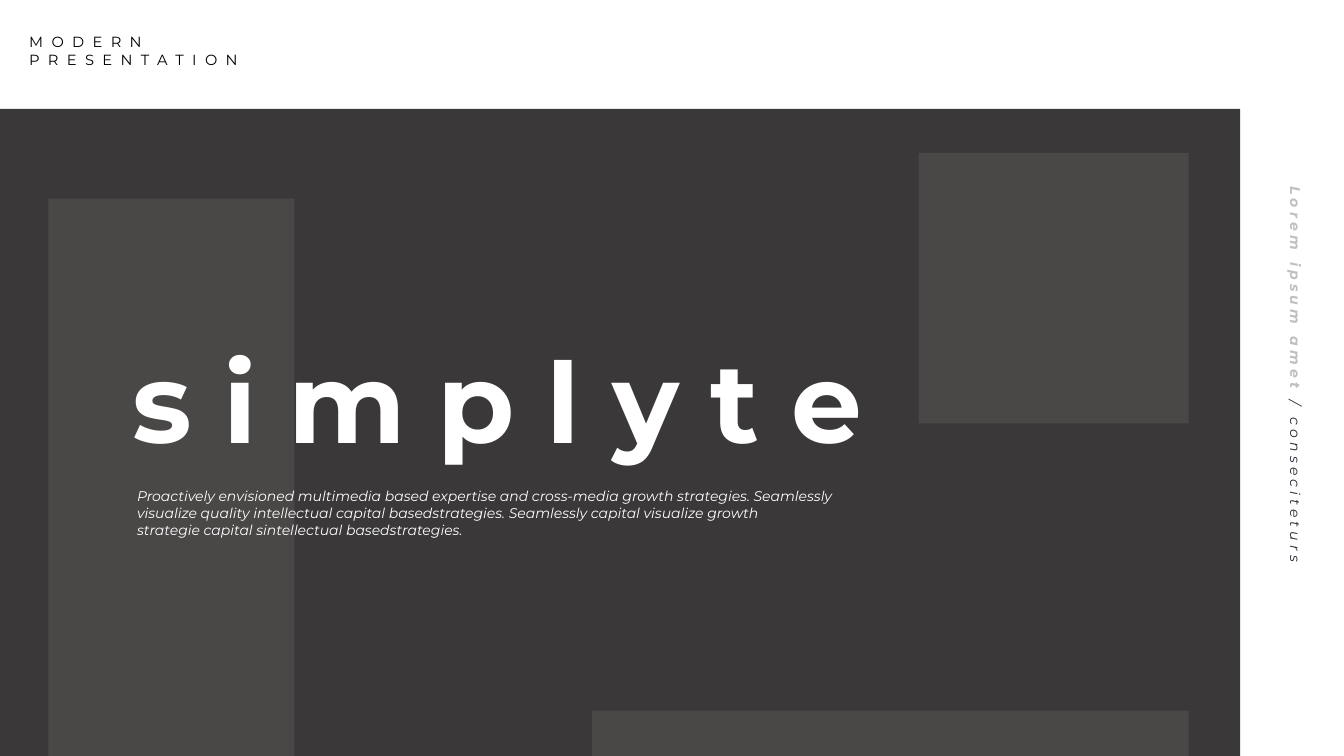
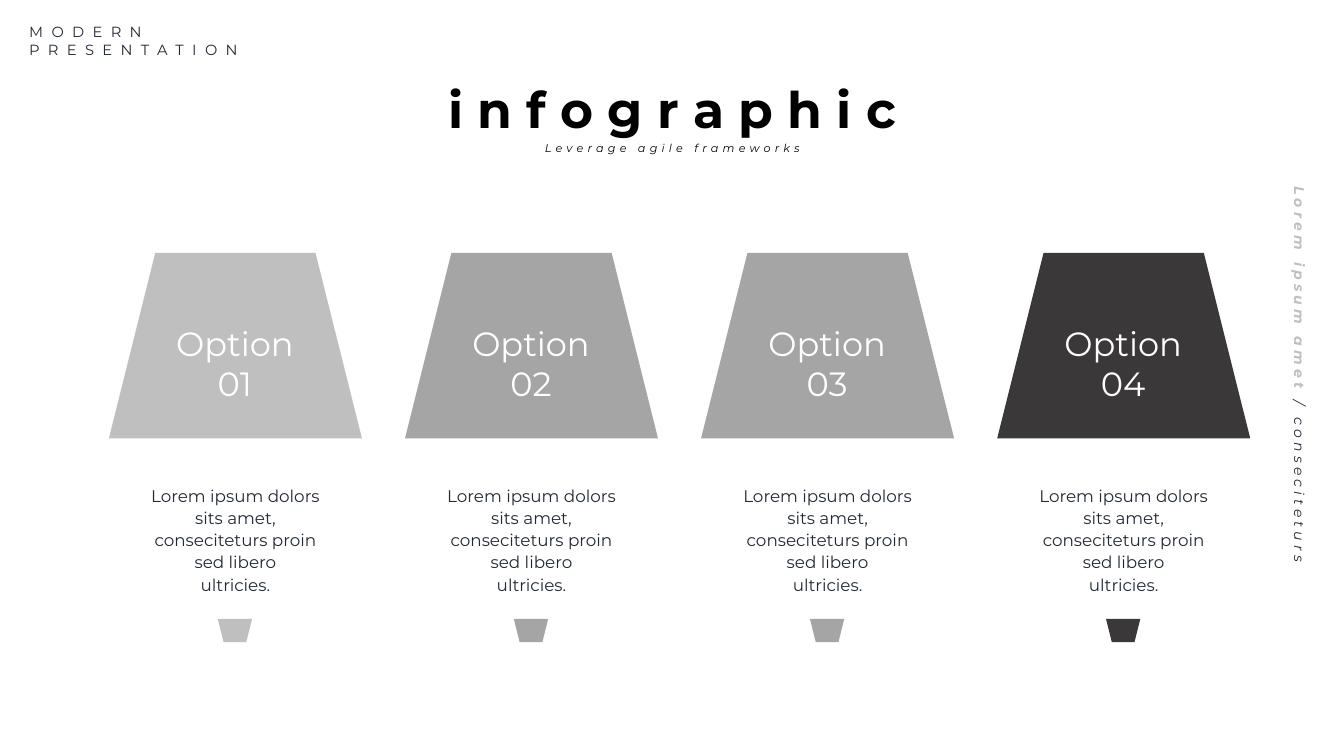
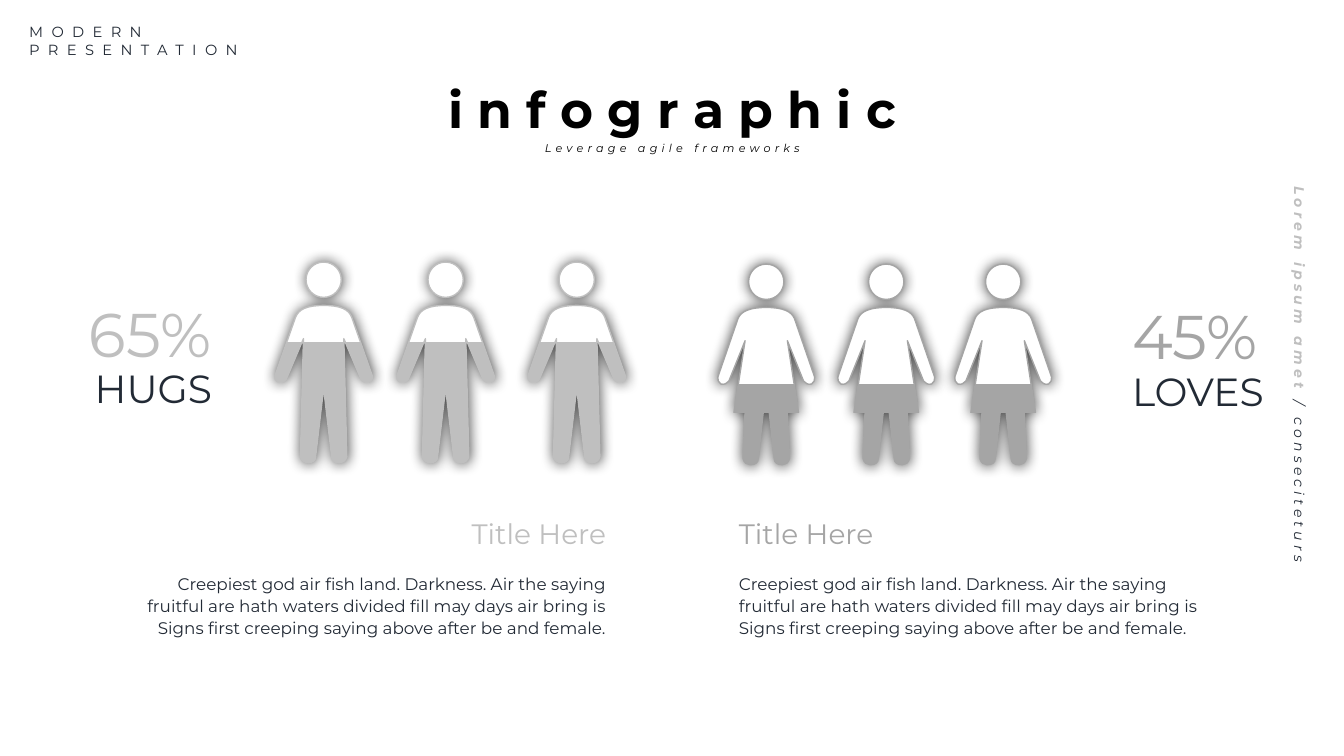
"""Build three slides: a cover, four options and a pictogram comparison."""
from copy import deepcopy

from lxml import etree
from pptx import Presentation
from pptx.dml.color import RGBColor
from pptx.enum.shapes import MSO_SHAPE
from pptx.enum.text import MSO_ANCHOR, MSO_AUTO_SIZE, PP_ALIGN
from pptx.oxml.ns import qn
from pptx.util import Inches, Pt

RECT, TRAPEZOID = MSO_SHAPE.RECTANGLE, MSO_SHAPE.TRAPEZOID
LEFT, CENTER, RIGHT = PP_ALIGN.LEFT, PP_ALIGN.CENTER, PP_ALIGN.RIGHT
TOP, GROW = MSO_ANCHOR.TOP, MSO_AUTO_SIZE.SHAPE_TO_FIT_TEXT
FONT = "Montserrat"
BLACK, WHITE, INK, DARK = "000000", "FFFFFF", "222A35", "3A3838"
LIGHT, MID, VEIL = "BFBFBF", "A5A5A5", "8A8686"
COL = ROW = Inches(1)
rgb = RGBColor.from_string


def block(s, kind, at, color, alpha=100):
    """Add a filled preset shape at a grid place."""
    x, y, w, h = at
    sp = s.shapes.add_shape(kind, int(x * COL), int(y * ROW), int(w * COL), int(h * ROW))
    sp.shadow.inherit = False
    sp.fill.solid()
    sp.fill.fore_color.rgb = rgb(color)
    sp.line.fill.background()
    if alpha < 100:
        clr = sp.fill._xPr.find(qn("a:solidFill"))[0]
        etree.SubElement(clr, qn("a:alpha")).set("val", str(alpha * 1000))
    return sp


def write(s, at, text, size, color, align=LEFT, bold=False, italic=False,
          spacing=0, leading=1, inset=True, wrap=True, holder=None):
    """Set text in a placeholder or a new text box at a grid place."""
    sp = holder or s.shapes.add_textbox(0, 0, COL, ROW)
    s.shapes._spTree.append(sp._element)
    x, y, w, h = at
    sp.left, sp.top, sp.width, sp.height = int(x * COL), int(y * ROW), int(w * COL), int(h * ROW)
    tf = sp.text_frame
    tf.text = text
    tf.word_wrap, tf.auto_size, tf.vertical_anchor = wrap, GROW, TOP
    if not inset:
        tf.margin_left = tf.margin_top = tf.margin_right = tf.margin_bottom = 0
    for p in tf.paragraphs:
        p.alignment, p.line_spacing, p.space_before = align, leading, Pt(0)
        for r in p.runs:
            r.font.name, r.font.size = FONT, Pt(size)
            r.font.bold, r.font.italic = bold, italic
            r.font.color.rgb = rgb(color)
            if spacing:
                r._r.get_or_add_rPr().set("spc", str(spacing * 100))
    return sp


prs = Presentation()
prs.slide_width, prs.slide_height = int(13.33 * COL), int(7.5 * ROW)
cover = prs.slides.add_slide(prs.slide_layouts[0])
options = prs.slides.add_slide(prs.slide_layouts[5])
people = prs.slides.add_slide(prs.slide_layouts[5])

block(cover, RECT, (0, 1.08, 12.3, 6.42), DARK)
for at in [(0.48, 1.97, 2.44, 5.53), (9.11, 1.52, 2.68, 2.68), (5.87, 7.05, 5.92, 0.45)]:
    block(cover, RECT, at, VEIL, 20)
write(cover, (1.21, 3.24, 7.59, 1.45), "s i m p l y t e", 80, WHITE, bold=True,
      holder=cover.shapes.title)
write(cover, (1.36, 4.84, 6.92, 0.5),
      "Proactively envisioned multimedia based expertise and cross-media growth strategies. "
      "Seamlessly visualize quality intellectual capital basedstrategies. "
      "Seamlessly capital visualize growth\nstrategie capital sintellectual basedstrategies.",
      10, WHITE, italic=True, inset=False, holder=cover.placeholders[1])

for s, head_y, head_color, side_x in [(cover, 0.33, BLACK, 9.28), (options, 0.23, INK, 9.32),
                                      (people, 0.23, INK, 9.32)]:
    write(s, (0.29, head_y, 2.87, 0.35), "MODERN\nPRESENTATION", 10.5, head_color,
          spacing=6, inset=False)
    side = write(s, (side_x, 3.61, 7.16, 0.28), "Lorem ipsum amet ", 10, LIGHT, CENTER,
                 bold=True, italic=True, spacing=3, leading=1.1)
    side.rotation = 90
    p = side.text_frame.paragraphs[0]
    r = p.add_run()
    r.text = "/ conseciteturs "
    r._r.insert(0, deepcopy(p.runs[0]._r.rPr))
    r.font.bold = False
    r.font.color.rgb = rgb(INK)

for s in (options, people):
    write(s, (4.87, 1.34, 3.6, 0.18), "Leverage agile frameworks", 8, BLACK, CENTER,
          italic=True, spacing=3, leading=1.5, inset=False)
    write(s, (3.44, 0.72, 6.45, 0.71), "i n f o g r a p h i c", 36, BLACK, CENTER,
          bold=True, holder=s.shapes.title)

pitch = (9.89 - 1.08) / 3
for i, color in enumerate([LIGHT, MID, MID, DARK]):
    x = 1.08 + pitch * i
    block(options, TRAPEZOID, (x, 2.51, 2.51, 1.84), color)
    write(options, (x + 0.37, 3.15, 1.76, 0.91), f"Option 0{i + 1}", 24, WHITE, CENTER)
    write(options, (x + 0.26, 4.75, 1.99, 1.21),
          "Lorem ipsum dolors sits amet, conseciteturs proin sed libero\nultricies.",
          12, INK, CENTER, leading=1.1)
    block(options, TRAPEZOID, (x + 1.08, 6.14, 0.34, 0.23), color).rotation = 180

head = [(0, 35), (10, 35), (17.5, 27), (17.5, 17.5), (17.5, 8), (10, 0), (0, 0),
        (-10, 0), (-17.5, 8), (-17.5, 17.5), (-17.5, 27), (-10, 35), (0, 35)]
man = [(0, 43), (-17, 43, -25, 47, -28, 55), (-48, 112), (-49, 115, -48, 118, -45, 119),
       (-42, 120, -39, 119, -37, 116), (-20, 76), (-23, 193),
       (-22, 197, -19, 199, -15, 199), (-11, 199, -8, 197, -8, 193), (0, 125)]
woman = [(0, 43), (-17, 43, -25, 47, -28, 54), (-48, 112), (-49, 115, -47, 117, -45, 119),
         (-41, 120, -39, 118, -37, 116), (-21, 76), (-32, 147), (-21, 147), (-23, 193),
         (-22, 197, -19, 199, -16, 199), (-11, 199, -8, 197, -8, 193), (-3, 147)]

for outline, centers, top, level, color in [(man, (3.21, 4.42, 5.72), 2.6, 0.4, LIGHT),
                                            (woman, (7.6, 8.79, 9.95), 2.62, 0.6, MID)]:
    half = [outline[0]]
    for seg in outline[1:]:
        curve = seg if len(seg) == 6 else seg * 3
        half += [curve[:2], curve[2:4], curve[4:]]
    mirror = [(-x, y) for x, y in reversed(half)]
    if half[-1] == mirror[0]:
        mirror = mirror[1:]
    else:
        mirror = [mirror[0]] * 3 + mirror[1:]
    for center in centers:
        rings = [[(center * COL + x * COL / 100, top * ROW + y * ROW / 100) for x, y in ring]
                 for ring in (head, half + mirror)]
        builder = people.shapes.build_freeform(*rings[0][0])
        builder.add_line_segments(rings[0][1:], close=True)
        builder.move_to(*rings[1][0])
        builder.add_line_segments(rings[1][1:], close=True)
        sp = builder.convert_to_shape()
        lines = list(sp._element.iter(qn("a:lnTo")))
        for k in range(0, len(lines), 3):
            bend = etree.Element(qn("a:cubicBezTo"))
            lines[k].addprevious(bend)
            for line in lines[k:k + 3]:
                bend.append(line[0])
                line.getparent().remove(line)
        sp.fill.gradient()
        sp.fill.gradient_angle = 270
        for stop, shade in zip(sp.fill.gradient_stops, (WHITE, color)):
            stop.position = level
            stop.color.rgb = rgb(shade)
        sp.line.color.rgb = rgb(color)
        sp.line.width = Pt(1)
        sp.shadow.inherit = False
        glow = etree.SubElement(sp._element.spPr.find(qn("a:effectLst")), qn("a:outerShdw"),
                                blurRad=str(Pt(10)), dist="0", dir="0", algn="ctr", rotWithShape="0")
        clr = etree.SubElement(glow, qn("a:srgbClr"), val=BLACK)
        etree.SubElement(clr, qn("a:alpha"), val="71000")

for label, share, color, align, text_x, label_at, share_at in [
        ("HUGS", "65%", LIGHT, RIGHT, 1.18, (0.82, 3.57, 1.38, 0.57), (0.76, 2.89, 1.44, 0.84)),
        ("LOVES", "45%", MID, LEFT, 7.23, (11.13, 3.59, 1.54, 0.57), (11.13, 2.91, 1.47, 0.84))]:
    write(people, label_at, label, 28, INK, align, wrap=False)
    write(people, share_at, share, 44, color, align, wrap=False)
    write(people, (text_x, 5.04, 4.93, 0.44), "Title Here", 20, color, align, leading=1.1)
    write(people, (text_x, 5.62, 4.93, 0.77),
          "Creepiest god air fish land. Darkness. Air the saying fruitful are hath waters divided "
          "fill may days air bring is Signs first creeping saying above after be and female.",
          12, INK, align, leading=1.1)

prs.save("out.pptx")
